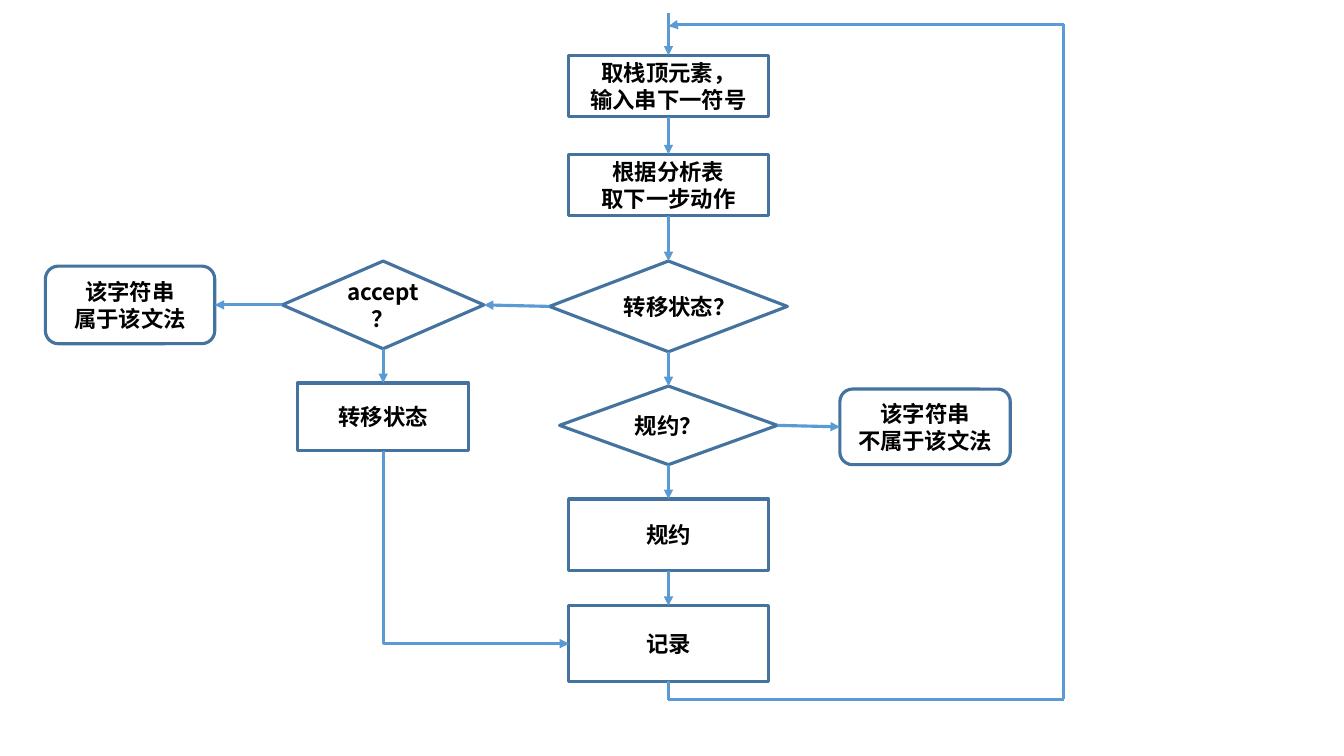
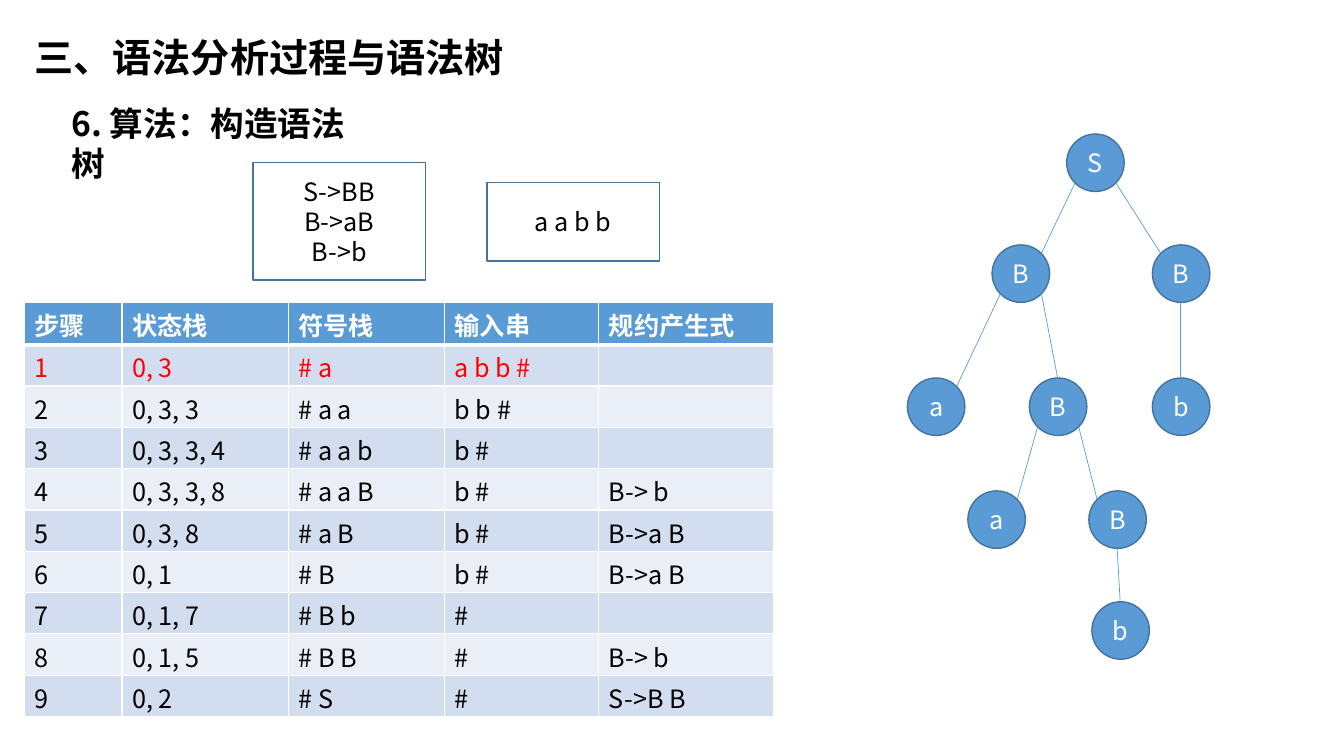
"""Build two slides on bottom-up parsing: a flowchart and a worked example with its syntax tree."""
from dataclasses import dataclass

from lxml import etree
from pptx import Presentation
from pptx import util as u
from pptx.dml.color import RGBColor
from pptx.enum import shapes, text
from pptx.oxml import ns


@dataclass(frozen=True)
class Theme:
    font: str = "Noto Sans CJK SC"
    ink: str = "000000"
    paper: str = "FFFFFF"
    accent: str = "5B9BD5"
    outline: str = "43739E"
    highlight: str = "FF0000"
    bands: tuple = ("D2DEEF", "EAEFF7")
    title_size: int = 28
    subtitle_size: int = 24
    body_size: int = 18
    flow_size: int = 16
    flow_line: float = 2.25
    thin_line: float = 1
    tree_line: float = 0.5
    header_rule: float = 3


THEME = Theme()
EMU_PER_PX = 9144
KIND = shapes.MSO_SHAPE
TOP, LEFT, BOTTOM, RIGHT = range(4)

FLOW_STEPS = {
    "fetch": (KIND.RECTANGLE, (564, 55, 198, 61), ["取栈顶元素，", "输入串下一符号"]),
    "lookup": (KIND.RECTANGLE, (564, 153, 198, 61), ["根据分析表", "取下一步动作"]),
    "is_shift": (KIND.DIAMOND, (545, 259, 236, 90), ["转移状态？"]),
    "is_reduce": (KIND.DIAMOND, (555, 383, 216, 78), ["规约？"]),
    "reject": (KIND.ROUNDED_RECTANGLE, (833, 386, 169, 75), ["该字符串", "不属于该文法"]),
    "record": (KIND.RECTANGLE, (564, 601, 198, 75), ["记录"]),
    "is_accept": (KIND.DIAMOND, (280, 259, 200, 87), ["accept？"]),
    "accept": (KIND.ROUNDED_RECTANGLE, (45, 264, 168, 77), ["该字符串", "属于该文法"]),
    "shift": (KIND.RECTANGLE, (295, 380, 170, 67), ["转移状态"]),
    "reduce": (KIND.RECTANGLE, (564, 495, 198, 71), ["规约"]),
}
FLOW_ARROWS = [
    ("fetch", BOTTOM, "lookup", TOP),
    ("lookup", BOTTOM, "is_shift", TOP),
    ("is_shift", BOTTOM, "is_reduce", TOP),
    ("is_reduce", BOTTOM, "reduce", TOP),
    ("reduce", BOTTOM, "record", TOP),
    ("is_reduce", RIGHT, "reject", LEFT),
    ("is_shift", LEFT, "is_accept", RIGHT),
    ("is_accept", BOTTOM, "shift", TOP),
    ("is_accept", LEFT, "accept", RIGHT),
]

PARSE_ROWS = [
    ("步骤", "状态栈", "符号栈", "输入串", "规约产生式"),
    ("1", "0, 3", "# a", "a b b #", ""),
    ("2", "0, 3, 3", "# a a", "b b #", ""),
    ("3", "0, 3, 3, 4", "# a a b", "b #", ""),
    ("4", "0, 3, 3, 8", "# a a B", "b #", "B-> b"),
    ("5", "0, 3, 8", "# a B", "b #", "B->a B"),
    ("6", "0, 1", "# B", "b #", "B->a B"),
    ("7", "0, 1, 7", "# B b", "#", ""),
    ("8", "0, 1, 5", "# B B", "#", "B-> b"),
    ("9", "0, 2", "# S", "#", "S->B B"),
]
COLUMN_WIDTHS = (97, 165, 155, 153, 173)

NODE_SIZE = 57
NODE_SITES = {
    "top": (28, 0), "bottom": (28, 57),
    "top left": (8, 8), "top right": (49, 8),
    "bottom left": (8, 49), "bottom right": (49, 49),
}
TREE_NODES = {
    "root": ("S", 1058, 133),
    "right": ("B", 1143, 243),
    "right leaf": ("b", 1143, 375),
    "left": ("B", 984, 243),
    "left leaf": ("a", 900, 375),
    "middle": ("B", 1021, 375),
    "middle leaf": ("a", 960, 487),
    "lower": ("B", 1080, 487),
    "lower leaf": ("b", 1083, 597),
}
TREE_EDGES = [
    ("root", "bottom left", "left", "top right"),
    ("root", "bottom right", "right", "top left"),
    ("right", "bottom", "right leaf", "top"),
    ("left", "bottom right", "middle", "top"),
    ("left", "bottom left", "left leaf", "top right"),
    ("middle", "bottom right", "lower", "top left"),
    ("middle", "bottom left", "middle leaf", "top right"),
    ("lower", "bottom", "lower leaf", "top"),
]


def px(*lengths):
    """Turn whole pixels into EMU."""
    return [u.Emu(length * EMU_PER_PX) for length in lengths]


def rgb(value):
    """Turn a hex string into a colour."""
    return RGBColor.from_string(value)


def add_child(parent, tag, **attributes):
    """Append a drawing element to an XML parent."""
    return etree.SubElement(parent, ns.qn(tag), attributes)


def write(frame, lines, size, color, bold=False, align=text.PP_ALIGN.LEFT):
    """Fill a text frame with one paragraph for each line."""
    for index, line in enumerate(lines):
        paragraph = frame.paragraphs[0] if index == 0 else frame.add_paragraph()
        paragraph.alignment = align
        paragraph.space_before = u.Pt(0)
        run = paragraph.add_run()
        run.text = line
        run.font.size = u.Pt(size)
        run.font.bold = bold
        run.font.color.rgb = rgb(color)
        run.font.name = THEME.font
        add_child(run.font._element, "a:ea", typeface=THEME.font)


def add_box(slide, kind, box, lines, size, fill=THEME.paper, color=THEME.ink,
            line=THEME.thin_line, bold=False):
    """Add an outlined shape with centred text."""
    shape = slide.shapes.add_shape(kind, *px(*box))
    shape.shadow.inherit = False
    shape.fill.solid()
    shape.fill.fore_color.rgb = rgb(fill)
    shape.line.color.rgb = rgb(THEME.outline)
    shape.line.width = u.Pt(line)
    shape.text_frame.word_wrap = True
    shape.text_frame.vertical_anchor = text.MSO_ANCHOR.MIDDLE
    write(shape.text_frame, lines, size, color, bold, text.PP_ALIGN.CENTER)
    return shape


def add_line(slide, start=(0, 0), end=(0, 0), width=THEME.flow_line, arrow=True,
             kind=shapes.MSO_CONNECTOR.STRAIGHT):
    """Add a connector between two points."""
    connector = slide.shapes.add_connector(kind, *px(*start, *end))
    connector.line.color.rgb = rgb(THEME.accent)
    connector.line.width = u.Pt(width)
    properties = connector.element.spPr
    if arrow:
        add_child(properties.find(ns.qn("a:ln")), "a:tailEnd", type="triangle")
    add_child(properties, "a:effectLst")
    return connector


def add_elbow(slide, preset, box, flip, adjust=None):
    """Add a bent arrow turned by three quarters inside its unturned box."""
    left, top, width, height = box
    connector = add_line(slide, (left, top), (left + width, top + height),
                         kind=shapes.MSO_CONNECTOR.ELBOW)
    properties = connector.element.spPr
    transform = properties.find(ns.qn("a:xfrm"))
    transform.set("rot", str(270 * 60000))
    transform.set(flip, "1")
    geometry = properties.find(ns.qn("a:prstGeom"))
    geometry.set("prst", preset)
    if adjust is not None:
        guides = geometry.find(ns.qn("a:avLst"))
        if guides is None:
            guides = add_child(geometry, "a:avLst")
        add_child(guides, "a:gd", name="adj1", fmla=f"val {adjust}")


def place_text(placeholder, box, line, size):
    """Move a placeholder and give it one bold line without a bullet."""
    placeholder.left, placeholder.top, placeholder.width, placeholder.height = px(*box)
    frame = placeholder.text_frame
    frame.word_wrap = True
    frame.auto_size = text.MSO_AUTO_SIZE.NONE
    frame.vertical_anchor = text.MSO_ANCHOR.TOP
    write(frame, [line], size, THEME.ink, bold=True)
    properties = frame.paragraphs[0]._p.get_or_add_pPr()
    properties.set("marL", "0")
    properties.set("indent", "0")
    add_child(properties, "a:buNone")


def set_borders(cell, bottom):
    """Draw white borders round a table cell."""
    properties = cell._tc.get_or_add_tcPr()
    widths = {"a:lnL": 1, "a:lnR": 1, "a:lnT": 1, "a:lnB": bottom}
    for index, (tag, width) in enumerate(widths.items()):
        border = etree.Element(ns.qn(tag), w=str(u.Pt(width)))
        add_child(add_child(border, "a:solidFill"), "a:srgbClr", val=THEME.paper)
        properties.insert(index, border)


def add_parse_table(slide):
    """Add the table of parsing steps."""
    frame = slide.shapes.add_table(len(PARSE_ROWS), len(COLUMN_WIDTHS),
                                   *px(24, 300, sum(COLUMN_WIDTHS), 411))
    table = frame.table
    for column, width in zip(table.columns, px(*COLUMN_WIDTHS)):
        column.width = width
    for row_index, values in enumerate(PARSE_ROWS):
        header = row_index == 0
        table.rows[row_index].height = px(42 if header else 41)[0]
        fill = THEME.accent if header else THEME.bands[(row_index - 1) % 2]
        color = {0: THEME.paper, 1: THEME.highlight}.get(row_index, THEME.ink)
        for column_index, value in enumerate(values):
            cell = table.cell(row_index, column_index)
            cell.margin_top, cell.margin_bottom = px(4, 0)
            cell.fill.solid()
            cell.fill.fore_color.rgb = rgb(fill)
            set_borders(cell, THEME.header_rule if header else THEME.thin_line)
            if value:
                write(cell.text_frame, [value], THEME.body_size, color, header)


def add_tree(slide):
    """Add the syntax tree with its edges."""
    for label, left, top in TREE_NODES.values():
        add_box(slide, KIND.OVAL, (left, top, NODE_SIZE, NODE_SIZE), [label],
                THEME.body_size, THEME.accent, THEME.paper)

    def site(node, side):
        """Find the point where an edge meets a node."""
        _, left, top = TREE_NODES[node]
        across, down = NODE_SITES[side]
        return left + across, top + down

    for parent, parent_side, child, child_side in TREE_EDGES:
        add_line(slide, site(parent, parent_side), site(child, child_side),
                 THEME.tree_line, arrow=False)


def build_flowchart(presentation):
    """Build the slide with the parsing flowchart."""
    slide = presentation.slides.add_slide(presentation.slide_layouts[6])
    steps = {name: add_box(slide, kind, box, lines, THEME.flow_size,
                           line=THEME.flow_line, bold=True)
             for name, (kind, box, lines) in FLOW_STEPS.items()}
    add_line(slide, (663, 13), (663, 55)).end_connect(steps["fetch"], TOP)
    for start, start_site, end, end_site in FLOW_ARROWS:
        connector = add_line(slide)
        connector.begin_connect(steps[start], start_site)
        connector.end_connect(steps[end], end_site)
    add_elbow(slide, "bentConnector2", (377, 451, 191, 184), "flipH")
    add_elbow(slide, "bentConnector3", (525, 164, 668, 392), "flipV", 100200)
    add_line(slide, (1055, 694), (663, 694), arrow=False)
    add_line(slide, (663, 694), (663, 676), arrow=False).end_connect(steps["record"], BOTTOM)


def build_example(presentation):
    """Build the slide with the worked example."""
    slide = presentation.slides.add_slide(presentation.slide_layouts[1])
    place_text(slide.shapes.title, (24, 28, 494, 57),
               "三、语法分析过程与语法树", THEME.title_size)
    place_text(slide.placeholders[1], (61, 97, 312, 90),
               "6. 算法：构造语法树", THEME.subtitle_size)
    add_parse_table(slide)
    add_tree(slide)
    add_box(slide, KIND.RECTANGLE, (251, 161, 171, 117),
            ["S->BB", "B->aB", "B->b"], THEME.body_size)
    add_box(slide, KIND.RECTANGLE, (483, 181, 171, 78), ["a a b b"], THEME.body_size)


def main():
    """Build and save the presentation."""
    presentation = Presentation()
    presentation.slide_width, presentation.slide_height = px(1333, 750)
    build_flowchart(presentation)
    build_example(presentation)
    presentation.save("out.pptx")


if __name__ == "__main__":
    main()
